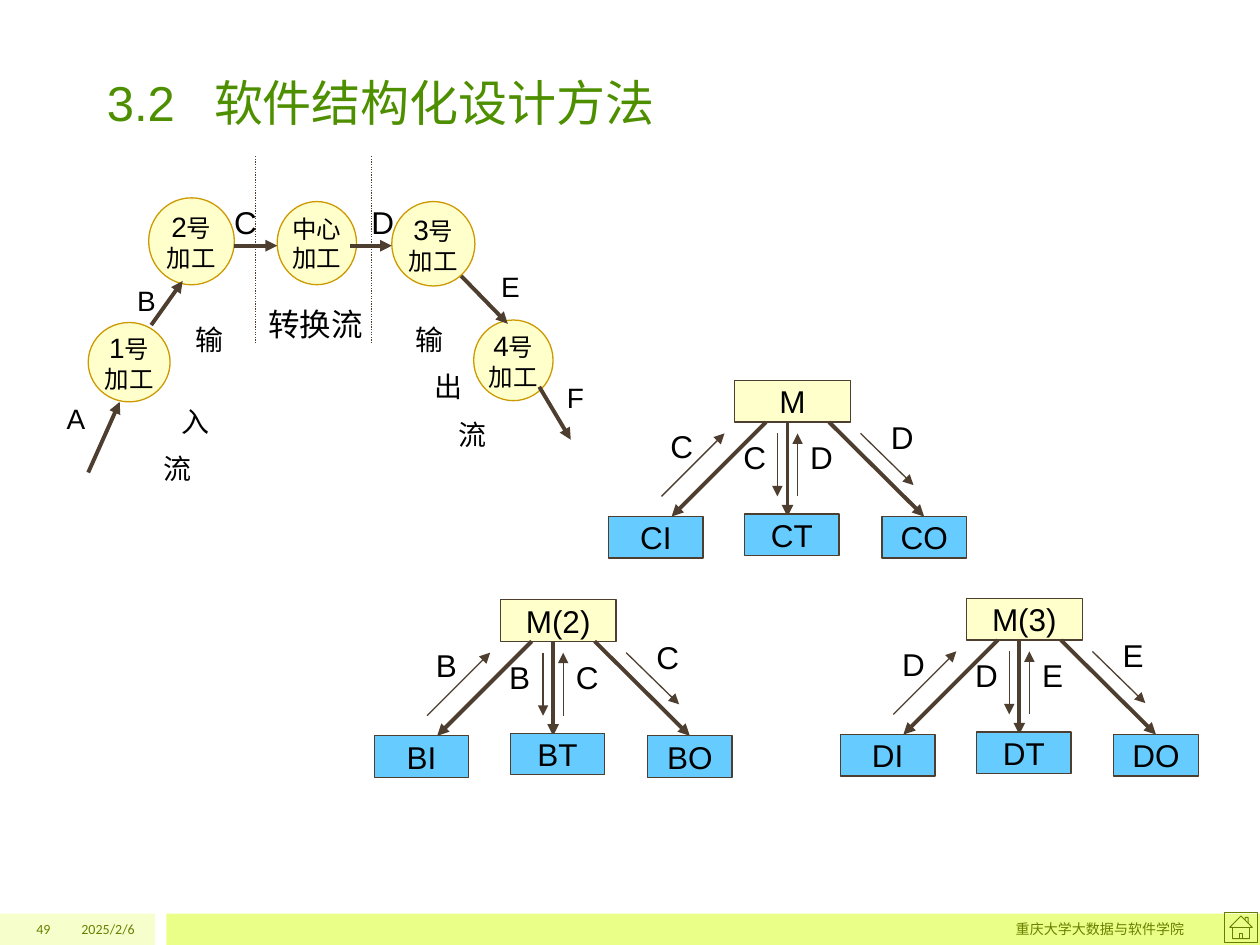
import pptx
import pptx.util
from pptx.dml.color import RGBColor
from pptx.enum.dml import MSO_LINE
from pptx.enum.shapes import MSO_CONNECTOR, MSO_SHAPE
from pptx.enum.text import MSO_ANCHOR, PP_ALIGN
from pptx.oxml.ns import qn
from lxml import etree

Inches, Pt = pptx.util.Inches, pptx.util.Pt

BLACK = RGBColor(0x00, 0x00, 0x00)
BROWN = RGBColor(0x4D, 0x3E, 0x2F)
CREAM = RGBColor(0xFF, 0xFF, 0xCC)
GOLD = RGBColor(0xCC, 0x99, 0x00)
SKY = RGBColor(0x66, 0xCC, 0xFF)
TITLE_GREEN = RGBColor(0x4E, 0x8F, 0x00)
FOOTER_GREEN = RGBColor(0x68, 0x80, 0x00)
HOME_GREEN = RGBColor(0x67, 0x7E, 0x00)
PALE_LIME = RGBColor(0xF6, 0xFF, 0xCC)
LIME = RGBColor(0xE9, 0xFF, 0x88)

TITLE = "3.2\t软件结构化设计方法"
FOOTER = [
    ("2025/2/6", (0.5, 7.25, 0.67, 0.25)),
    ("重庆大学大数据与软件学院", (2, 7.25, 7.5, 0.25)),
    ("49", (0, 7.25, 0.5, 0.25)),
]
PROCESSES = [
    ([("中心", 14)], (2.2, 1.6, 0.63, 0.66)),
    ([("2", 16), ("号", 14)], (1.18, 1.57, 0.68, 0.69)),
    ([("3", 16), ("号", 14)], (3.11, 1.6, 0.66, 0.67)),
    ([("1", 16), ("号", 14)], (0.7, 2.56, 0.65, 0.63)),
    ([("4", 16), ("号", 14)], (3.76, 2.54, 0.63, 0.64)),
]
FLOW_ARROWS = [
    (0.7, 3.75, 0.95, 3.19),
    (1.2, 2.58, 1.45, 2.23),
    (1.86, 1.95, 2.2, 1.95),
    (2.78, 1.95, 3.11, 1.95),
    (3.66, 2.19, 4.03, 2.57),
    (4.28, 3.07, 4.53, 3.49),
]
BOUNDARIES = [2.03, 2.95]
FLOW_LABELS = [
    ("D", 18, (2.85, 1.56, 0.5, 0.4)),
    ("C", 18, (1.76, 1.56, 0.67, 0.4)),
    ("A", 16, (0.43, 3.14, 0.58, 0.37)),
    ("B", 16, (0.99, 2.2, 0.75, 0.37)),
    ("E", 16, (3.88, 2.09, 0.5, 0.37)),
    ("F", 16, (4.4, 2.97, 0.6, 0.35)),
    ("转换流", 18, (2.03, 2.37, 1.09, 0.4)),
]
STEPPED_LABELS = [
    ((1.2, 2.51, 0.75, 1.4), [("输", 0.25, 0), ("入", 0.14, 27.5), ("流", 0, 8)]),
    ((3.2, 2.51, 1.17, 1.18), [("输", 0, 0), ("出", 0.15, 8), ("流", 0.34, 8)]),
]
TREES = [
    ((5.83, 3.02), "M", ["CI", "CT", "CO"], ["C", "C", "D", "D"]),
    ((3.97, 4.76), "M(2)", ["BI", "BT", "BO"], ["B", "B", "C", "C"]),
    ((7.67, 4.75), "M(3)", ["DI", "DT", "DO"], ["D", "D", "E", "E"]),
]
ROOT_SIZE = (0.92, 0.33)
CHILD_BOXES = [(-1, 1.08, 0.75, 0.33), (0.08, 1.06, 0.75, 0.33), (1.17, 1.08, 0.67, 0.33)]
CALLS = [(0.25, 0.33, -0.5, 1.08), (0.42, 0.33, 0.42, 1.08), (0.75, 0.33, 1.5, 1.08)]
DATA_ARROWS = [
    (-0.58, 0.92, -0.08, 0.42),
    (0.34, 0.42, 0.34, 0.92),
    (0.5, 0.92, 0.5, 0.42),
    (1, 0.42, 1.42, 0.83),
]
DATA_LABELS = [
    (-0.58, 0.33, 0.5, 0.38),
    (0, 0.42, 0.5, 0.38),
    (0.53, 0.42, 0.49, 0.38),
    (1.17, 0.26, 0.62, 0.38),
]

presentation = pptx.Presentation()
presentation.slide_width, presentation.slide_height = Inches(10), Inches(7.5)
slide = presentation.slides.add_slide(presentation.slide_layouts[6])


def add_run(paragraph, text, size, color=BLACK, font="Arial"):
    run = paragraph.add_run()
    run.text = text
    run.font.size = Pt(size)
    run.font.name = font
    run.font.color.rgb = color


def add_box(place, inset=None, anchor=MSO_ANCHOR.TOP):
    frame = slide.shapes.add_textbox(*map(Inches, place)).text_frame
    frame.word_wrap = True
    frame.vertical_anchor = anchor
    if inset:
        set_insets(frame, *inset)
    return frame


def set_insets(frame, side, end):
    frame.margin_left = frame.margin_right = Inches(side)
    frame.margin_top = frame.margin_bottom = Inches(end)


def add_figure(kind, place, fill=None, line=None, width=0.75):
    shape = slide.shapes.add_shape(kind, *map(Inches, place))
    shape.shadow.inherit = False
    if fill is None:
        shape.fill.background()
    else:
        shape.fill.solid()
        shape.fill.fore_color.rgb = fill
    if line is None:
        shape.line.fill.background()
    else:
        shape.line.color.rgb = line
        shape.line.width = Pt(width)
    frame = shape.text_frame
    frame.word_wrap = False
    frame.vertical_anchor = MSO_ANCHOR.MIDDLE
    frame.paragraphs[0].alignment = PP_ALIGN.CENTER
    return shape


def add_node(text, place, fill):
    shape = add_figure(MSO_SHAPE.RECTANGLE, place, fill, BROWN)
    set_insets(shape.text_frame, 0.07, 0.04)
    add_run(shape.text_frame.paragraphs[0], text, 18)
    return shape


def add_line(ends, width, arrow=True):
    connector = slide.shapes.add_connector(MSO_CONNECTOR.STRAIGHT, *map(Inches, ends))
    connector.line.color.rgb = BROWN
    connector.line.width = Pt(width)
    if arrow:
        etree.SubElement(connector.line._get_or_add_ln(), qn("a:tailEnd"), type="triangle")
    else:
        connector.line.dash_style = MSO_LINE.ROUND_DOT
    etree.SubElement(connector._element.spPr, qn("a:effectLst"))
    return connector


def add_tree(origin, root, children, labels):
    left, top = origin

    def shift(place):
        return left + place[0], top + place[1], *place[2:]

    def shift_ends(ends):
        return left + ends[0], top + ends[1], left + ends[2], top + ends[3]

    add_node(root, (left, top, *ROOT_SIZE), CREAM)
    calls = [add_line(shift_ends(ends), 2.25) for ends in CALLS]
    for ends in DATA_ARROWS:
        add_line(shift_ends(ends), 0.75)
    for label, place in zip(labels, DATA_LABELS):
        add_run(add_box(shift(place), (0.07, 0.04)).paragraphs[0], label, 18)
    nodes = [add_node(child, shift(place), SKY) for child, place in zip(children, CHILD_BOXES)]
    calls[-1].end_connect(nodes[-1], 0)


add_figure(MSO_SHAPE.RECTANGLE, (0, 7.25, 1.23, 0.25), PALE_LIME)
add_figure(MSO_SHAPE.RECTANGLE, (1.32, 7.25, 8.68, 0.25), LIME)
add_figure(MSO_SHAPE.ACTION_BUTTON_HOME, (9.72, 7.24, 0.26, 0.24), None, HOME_GREEN, 0.5)

title = add_box((0.75, 0.38, 8.51, 0.71), anchor=MSO_ANCHOR.BOTTOM).paragraphs[0]
tabs = etree.SubElement(title._p.get_or_add_pPr(), qn("a:tabLst"))
etree.SubElement(tabs, qn("a:tab"), pos=str(Inches(0.85)), algn="l")
add_run(title, TITLE, 28, TITLE_GREEN)

for text, place in FOOTER:
    paragraph = add_box(place, anchor=MSO_ANCHOR.MIDDLE).paragraphs[0]
    paragraph.alignment = PP_ALIGN.RIGHT
    add_run(paragraph, text, 8, FOOTER_GREEN, "Calibri")

for runs, place in PROCESSES:
    frame = add_figure(MSO_SHAPE.OVAL, place, CREAM, GOLD).text_frame
    for text, size in runs:
        add_run(frame.paragraphs[0], text, size)
    paragraph = frame.add_paragraph()
    paragraph.alignment = PP_ALIGN.CENTER
    add_run(paragraph, "加工", 14)

for ends in FLOW_ARROWS:
    add_line(ends, 2.25)
for x in BOUNDARIES:
    add_line((x, 1.24, x, 2.72), 0.75, arrow=False)
for text, size, place in FLOW_LABELS:
    add_run(add_box(place).paragraphs[0], text, size)

for place, steps in STEPPED_LABELS:
    frame = add_box(place)
    for index, (text, indent, gap) in enumerate(steps):
        paragraph = frame.add_paragraph() if index else frame.paragraphs[0]
        paragraph._p.get_or_add_pPr().set("marL", str(Inches(indent)))
        if gap:
            paragraph.space_before = Pt(gap)
        add_run(paragraph, text, 16)

for tree in TREES:
    add_tree(*tree)

presentation.save("out.pptx")
